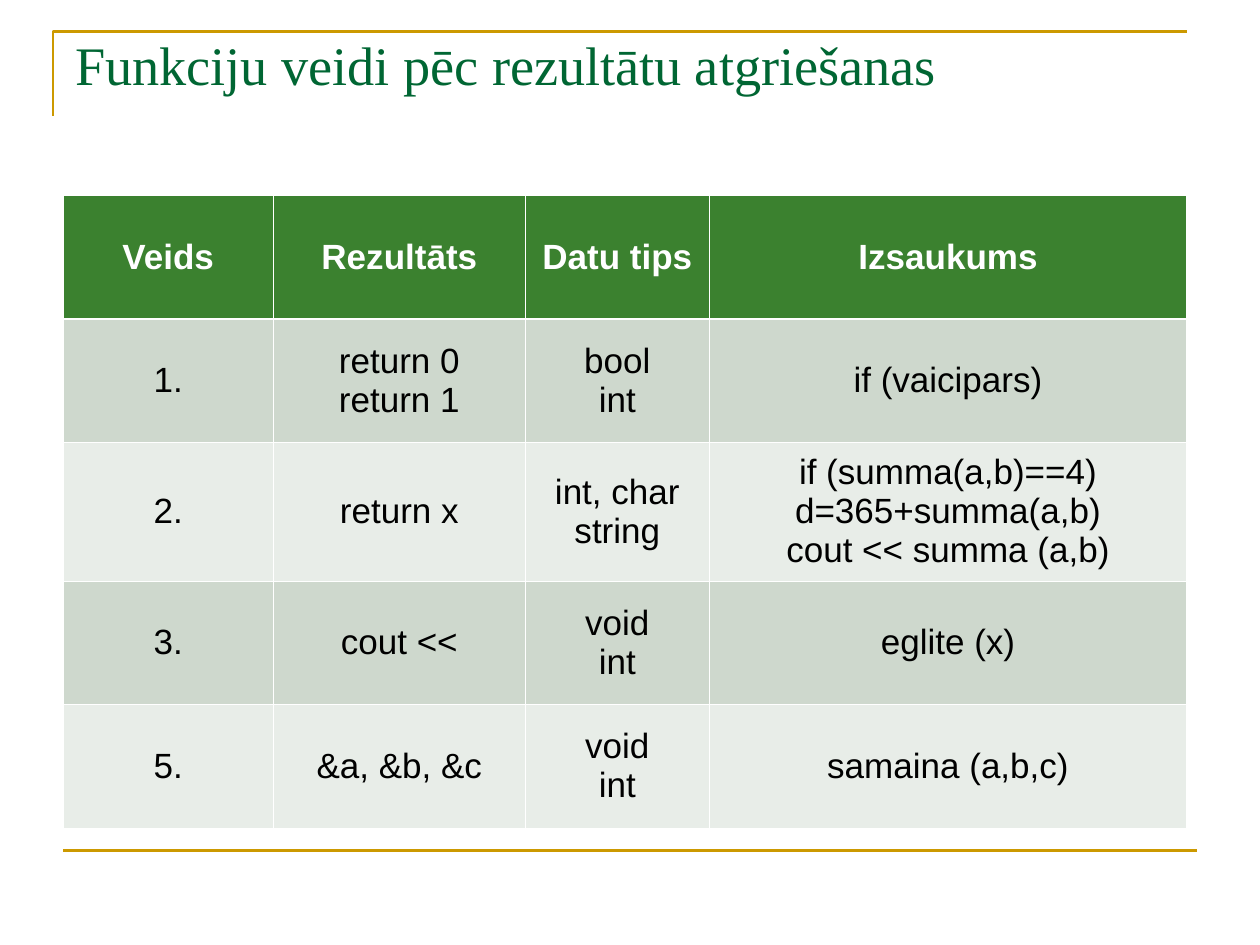
"""Build a slide with a table of function kinds by the result they return."""

from dataclasses import dataclass

from lxml.etree import SubElement
from pptx import Presentation
from pptx.dml.color import RGBColor
from pptx.enum.shapes import MSO_CONNECTOR
from pptx.enum.text import MSO_ANCHOR, PP_ALIGN
from pptx.oxml import parse_xml
from pptx.oxml.ns import nsdecls, qn
from pptx.slide import Slide
from pptx.table import _Cell
from pptx.text.text import TextFrame
from pptx.util import Inches, Pt

GOLD = RGBColor(0xCC, 0x99, 0x00)
TITLE_GREEN = RGBColor(0x00, 0x66, 0x33)
HEADER_GREEN = RGBColor(0x3B, 0x81, 0x2F)
DARK_BAND = RGBColor(0xCE, 0xD8, 0xCD)
LIGHT_BAND = RGBColor(0xE8, 0xED, 0xE8)
WHITE = RGBColor(0xFF, 0xFF, 0xFF)
BLACK = RGBColor(0x00, 0x00, 0x00)

THIN_BORDER = Pt(0.45)
HEADER_BORDER = Pt(1.47)
COLUMN_WIDTHS = (1.67, 2, 1.46, 3.79)
ROW_HEIGHTS = (0.98, 0.98, 1.1, 0.98, 0.98)


@dataclass(frozen=True)
class FunctionKind:
    number: str
    result: str
    data_type: str
    call: str

    def texts(self) -> tuple[str, ...]:
        return self.number, self.result, self.data_type, self.call


@dataclass(frozen=True)
class RowStyle:
    fill: RGBColor
    color: RGBColor = BLACK
    bold: bool = False
    top: int = THIN_BORDER
    bottom: int = THIN_BORDER


HEADER = FunctionKind("Veids", "Rezultāts", "Datu tips", "Izsaukums")
KINDS = (
    FunctionKind("1.", "return 0\vreturn 1", "bool\vint", "if (vaicipars)"),
    FunctionKind(
        "2.",
        "return x",
        "int, char\vstring",
        "if (summa(a,b)==4)\nd=365+summa(a,b)\ncout << summa (a,b)",
    ),
    FunctionKind("3.", "cout <<", "void\nint", "eglite (x)"),
    FunctionKind("5.", "&a, &b, &c", "void\nint", "samaina (a,b,c)"),
)


def row_style(row: int) -> RowStyle:
    if row == 0:
        return RowStyle(HEADER_GREEN, WHITE, True, bottom=HEADER_BORDER)
    top = HEADER_BORDER if row == 1 else THIN_BORDER
    return RowStyle(DARK_BAND if row % 2 else LIGHT_BAND, top=top)


def format_runs(
    text_frame: TextFrame, font_name: str, size: int, color: RGBColor, bold: bool = False
) -> None:
    for paragraph in text_frame.paragraphs:
        for run in paragraph.runs:
            run.font.name = font_name
            run.font.size = Pt(size)
            run.font.bold = bold
            run.font.color.rgb = color


def set_borders(cell: _Cell, style: RowStyle) -> None:
    properties = cell._tc.get_or_add_tcPr()
    widths = {"lnL": THIN_BORDER, "lnR": THIN_BORDER, "lnT": style.top, "lnB": style.bottom}
    for index, (side, width) in enumerate(widths.items()):
        border = parse_xml(
            f'<a:{side} {nsdecls("a")} w="{int(width)}"><a:solidFill>'
            f'<a:srgbClr val="{WHITE}"/></a:solidFill></a:{side}>'
        )
        properties.insert(index, border)


def add_frame_lines(slide: Slide) -> None:
    left, top = Inches(0.42), Inches(0.25)
    builder = slide.shapes.build_freeform(left, Inches(0.92), scale=1.0)
    builder.add_line_segments([(left, top), (Inches(9.42), top)], close=False)
    corner = builder.convert_to_shape()
    corner.shadow.inherit = False
    corner.fill.background()

    footer_y = Inches(6.75)
    footer = slide.shapes.add_connector(
        MSO_CONNECTOR.STRAIGHT, Inches(0.5), footer_y, Inches(9.5), footer_y
    )
    SubElement(footer._element.spPr, qn("a:effectLst"))
    for shape in (corner, footer):
        shape.line.color.rgb = GOLD
        shape.line.width = Pt(1.5)
    footer_properties = footer._element.spPr
    footer_properties.append(footer_properties.find(qn("a:effectLst")))


def add_title(slide: Slide, text: str) -> None:
    shape = slide.shapes.add_textbox(Inches(0.5), Inches(0.3), Inches(9), Inches(0.78))
    text_frame = shape.text_frame
    text_frame.word_wrap = True
    text_frame.text = text
    text_frame.paragraphs[0].line_spacing = 0.8
    format_runs(text_frame, "Times New Roman", 31, TITLE_GREEN)


def fill_cell(cell: _Cell, text: str, style: RowStyle) -> None:
    cell.text_frame.text = text
    cell.vertical_anchor = MSO_ANCHOR.MIDDLE
    for paragraph in cell.text_frame.paragraphs:
        paragraph.alignment = PP_ALIGN.CENTER
    format_runs(cell.text_frame, "Arial", 20, style.color, style.bold)
    cell.fill.solid()
    cell.fill.fore_color.rgb = style.fill
    set_borders(cell, style)


def add_kinds_table(slide: Slide) -> None:
    table = slide.shapes.add_table(
        len(ROW_HEIGHTS),
        len(COLUMN_WIDTHS),
        Inches(0.5),
        Inches(1.55),
        Inches(sum(COLUMN_WIDTHS)),
        Inches(sum(ROW_HEIGHTS)),
    ).table
    for column, width in zip(table.columns, COLUMN_WIDTHS):
        column.width = Inches(width)
    for row, height in zip(table.rows, ROW_HEIGHTS):
        row.height = Inches(height)
    for row_index, kind in enumerate((HEADER, *KINDS)):
        for column_index, text in enumerate(kind.texts()):
            fill_cell(table.cell(row_index, column_index), text, row_style(row_index))


def main() -> None:
    presentation = Presentation()
    presentation.slide_width = Inches(10)
    presentation.slide_height = Inches(7.5)
    slide = presentation.slides.add_slide(presentation.slide_layouts[6])
    add_frame_lines(slide)
    add_title(slide, "Funkciju veidi pēc rezultātu atgriešanas")
    add_kinds_table(slide)
    presentation.save("out.pptx")


if __name__ == "__main__":
    main()
